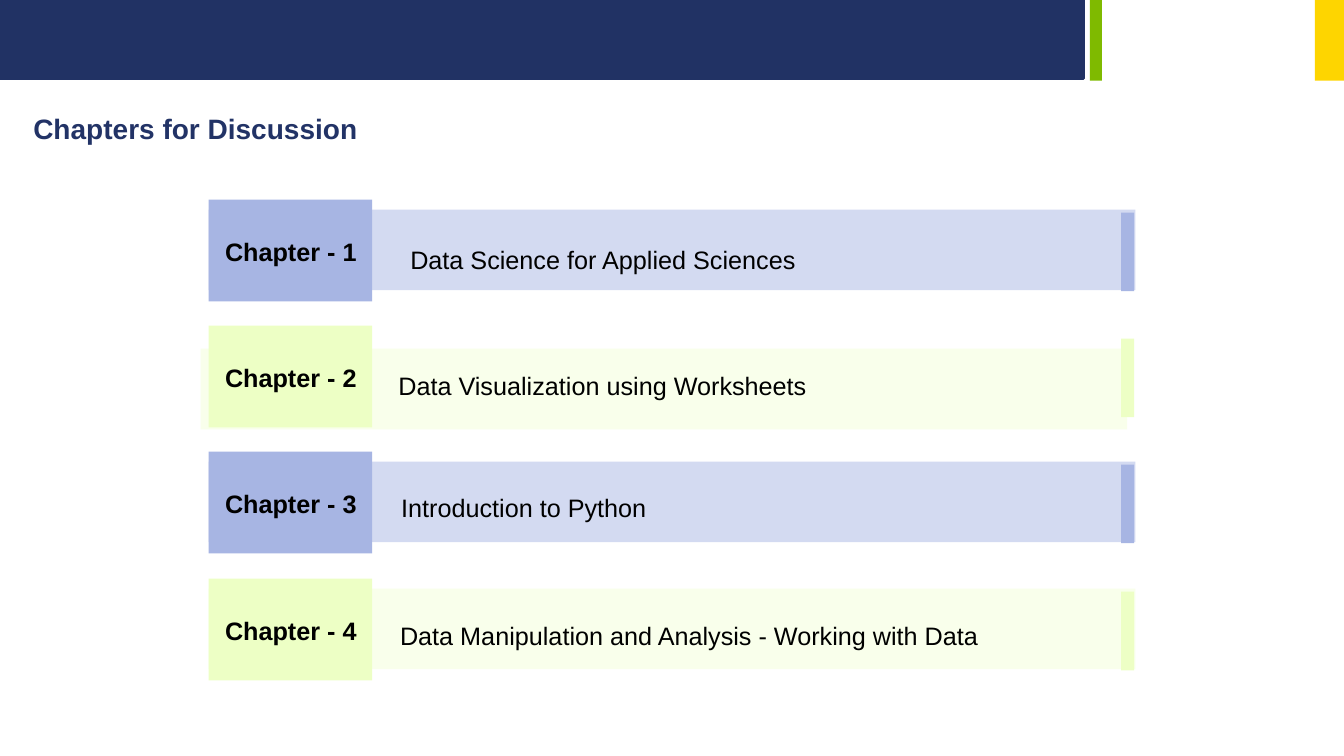
from pptx import Presentation
from pptx.dml.color import RGBColor
from pptx.enum.shapes import MSO_SHAPE
from pptx.enum.text import MSO_ANCHOR, MSO_AUTO_SIZE, PP_ALIGN
from pptx.util import Emu, Pt

EMU_PER_PX = 9144
COLORS = {
    "navy": "213264", "green": "7FBA00", "yellow": "FED500",
    "title": "223366", "black": "000000",
    "blue": "A7B5E3", "pale blue": "D3DAF1",
    "lime": "EDFFC5", "pale lime": "F9FFEB",
}
FIRST_ROW_TOP = 198
THREE_ROWS_HEIGHT = 376
CHAPTERS = [
    ("Data Science for Applied Sciences", "blue", (207, 10), (322, 37, 552)),
    ("Data Visualization using Worksheets", "lime", (199, 23), (294, 37, 607)),
    ("Introduction to Python", "blue", (207, 10), (322, 33, 395)),
    ("Data Manipulation and Analysis - Working with Data", "lime", (207, 10), (322, 34, 723)),
]


def px(length):
    """Turn whole pixels into EMU."""
    return Emu(length * EMU_PER_PX)


def color(name):
    """Look up a named colour."""
    return RGBColor.from_string(COLORS[name])


def add_block(shapes, left, top, width, height, fill, line=None):
    """Add a flat filled rectangle."""
    shape = shapes.add_shape(MSO_SHAPE.RECTANGLE, px(left), px(top), px(width), px(height))
    shape.shadow.inherit = False
    shape.fill.solid()
    shape.fill.fore_color.rgb = color(fill)
    if line:
        shape.line.color.rgb = color(line)
        shape.line.width = Pt(2)
    else:
        shape.line.fill.background()


def write_text(shape, text, size=18, bold=False, fill="black", align=PP_ALIGN.CENTER):
    """Write one formatted paragraph into a shape."""
    frame = shape.text_frame
    frame.word_wrap = True
    frame.auto_size = MSO_AUTO_SIZE.NONE
    frame.vertical_anchor = MSO_ANCHOR.TOP
    frame.margin_left = frame.margin_right = px(13)
    frame.margin_top = frame.margin_bottom = px(7)
    paragraph = frame.paragraphs[0]
    paragraph.alignment = align
    run = paragraph.add_run()
    run.text = text
    run.font.name = "Arial"
    run.font.size = Pt(size)
    run.font.bold = bold
    run.font.color.rgb = color(fill)


def add_label(shapes, left, top, width, text, **text_format):
    """Add a one-line text box."""
    box = shapes.add_textbox(px(left), px(top), px(width), px(44))
    write_text(box, text, **text_format)


def add_header(slide):
    """Add the coloured strip along the top."""
    add_block(slide.shapes, 0, 0, 1075, 78, "navy", line="navy")
    add_block(slide.shapes, 1081, 0, 12, 80, "green")
    add_block(slide.shapes, 1304, 0, 29, 80, "yellow")


def add_title(slide):
    """Place and fill the slide title."""
    title = slide.shapes.title
    title.left, title.top, title.width, title.height = px(20), px(104), px(435), px(47)
    write_text(title, "Chapters for Discussion", size=20, bold=True,
               fill="title", align=PP_ALIGN.LEFT)


def add_chapter(slide, index, topic, accent, bar, topic_box):
    """Add one grouped chapter row."""
    top = FIRST_ROW_TOP + THREE_ROWS_HEIGHT * index // 3
    bar_left, bar_offset = bar
    topic_left, topic_offset, topic_width = topic_box
    shapes = slide.shapes.add_group_shape().shapes
    add_block(shapes, bar_left, top + bar_offset, 919, 80, f"pale {accent}")
    add_block(shapes, 207, top, 162, 101, accent)
    add_label(shapes, 208, top + 29, 161, f"Chapter - {index + 1}", bold=True)
    add_label(shapes, topic_left, top + topic_offset, topic_width, topic)
    add_block(shapes, 1112, top + 13, 13, 78, accent)


def main():
    """Build and save the slide."""
    presentation = Presentation()
    presentation.slide_width = px(1333)
    presentation.slide_height = px(750)
    slide = presentation.slides.add_slide(presentation.slide_layouts[5])
    add_header(slide)
    add_title(slide)
    for index, chapter in enumerate(CHAPTERS):
        add_chapter(slide, index, *chapter)
    presentation.save("out.pptx")


if __name__ == "__main__":
    main()
